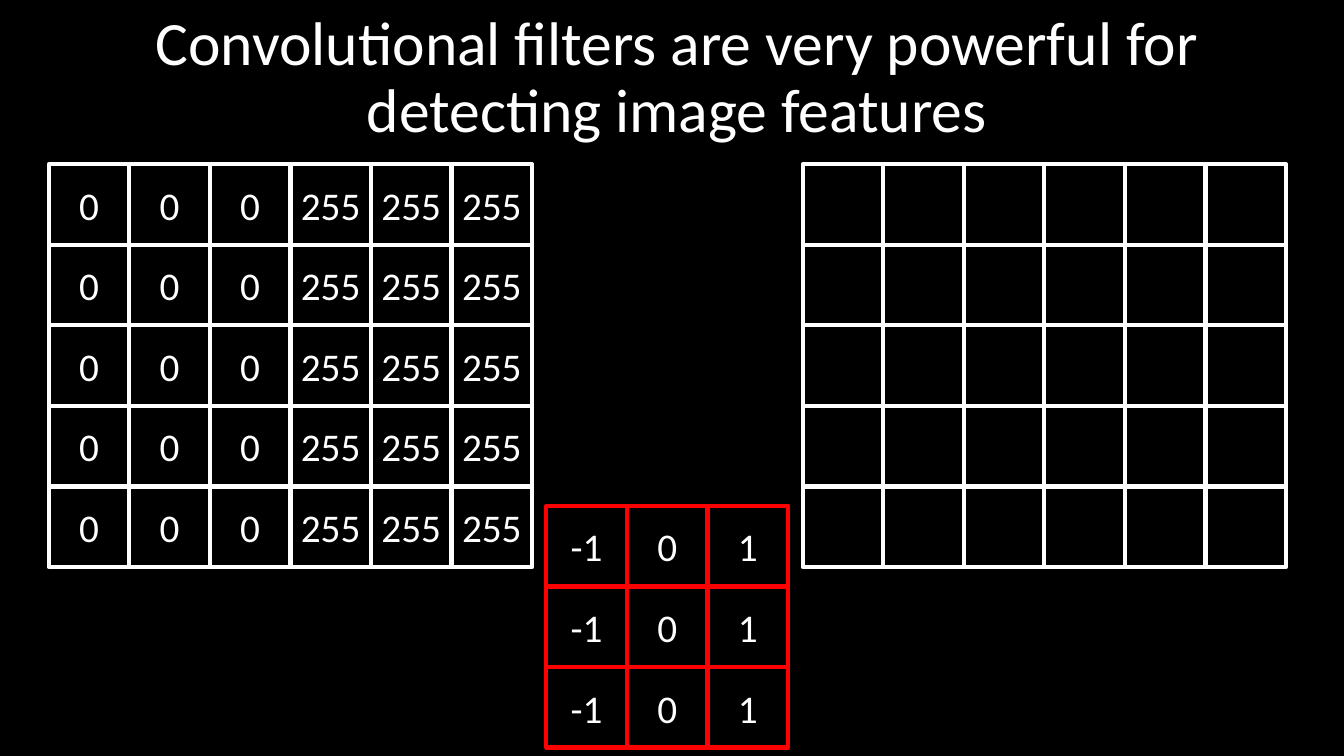
from pptx import Presentation
from pptx.dml.color import RGBColor
from pptx.enum.shapes import MSO_SHAPE
from pptx.enum.text import MSO_ANCHOR, PP_ALIGN
from pptx.util import Cm, Pt

FONT = "Calibri"
BLACK, WHITE, RED = "000000", "FFFFFF", "FF0000"
CELL = 2.03  # side of a pixel cell, in cm
GRID_TOP = 4.14

IMAGE_PIXELS = [["0"] * 3 + ["255"] * 3] * 5
RESULT_PIXELS = [[""] * 6] * 5
FILTER_WEIGHTS = [["-1", "0", "1"]] * 3


def color(hex_string):
    return RGBColor.from_string(hex_string)


def write_centered(shape, text, size):
    frame = shape.text_frame
    frame.word_wrap = True
    frame.vertical_anchor = MSO_ANCHOR.MIDDLE
    paragraph = frame.paragraphs[0]
    paragraph.alignment = PP_ALIGN.CENTER
    run = paragraph.add_run()
    run.text = text
    run.font.name = FONT
    run.font.size = Pt(size)
    run.font.color.rgb = color(WHITE)
    return paragraph


def add_title(slide, left, top, width, height, text):
    title = slide.shapes.add_textbox(Cm(left), Cm(top), Cm(width), Cm(height))
    paragraph = write_centered(title, text, 44)
    paragraph.line_spacing = 0.9


def add_pixel_grid(slide, left, top, rows, line_color):
    grid = slide.shapes.add_group_shape()
    for row, values in enumerate(rows):
        for column, value in enumerate(values):
            cell = grid.shapes.add_shape(
                MSO_SHAPE.RECTANGLE,
                Cm(left + column * CELL), Cm(top + row * CELL), Cm(CELL), Cm(CELL))
            cell.shadow.inherit = False
            cell.fill.background()
            cell.line.color.rgb = color(line_color)
            cell.line.width = Pt(3)
            frame = cell.text_frame
            frame.margin_left = frame.margin_right = 0
            if value:
                write_centered(cell, value, 28)


def build_slide(presentation):
    slide = presentation.slides.add_slide(presentation.slide_layouts[6])
    background = slide.background.fill
    background.solid()
    background.fore_color.rgb = color(BLACK)

    # Title
    add_title(slide, 2.46, 0.15, 29.21, 3.68,
              "Convolutional filters are very powerful for detecting image features")
    # Input image, empty result and filter
    add_pixel_grid(slide, 1.23, GRID_TOP, IMAGE_PIXELS, WHITE)
    add_pixel_grid(slide, 20.23, GRID_TOP, RESULT_PIXELS, WHITE)
    add_pixel_grid(slide, 13.77, 12.75, FILTER_WEIGHTS, RED)


def main():
    presentation = Presentation()
    presentation.slide_width = Cm(33.87)
    presentation.slide_height = Cm(19.05)
    build_slide(presentation)
    presentation.save("out.pptx")


if __name__ == "__main__":
    main()
